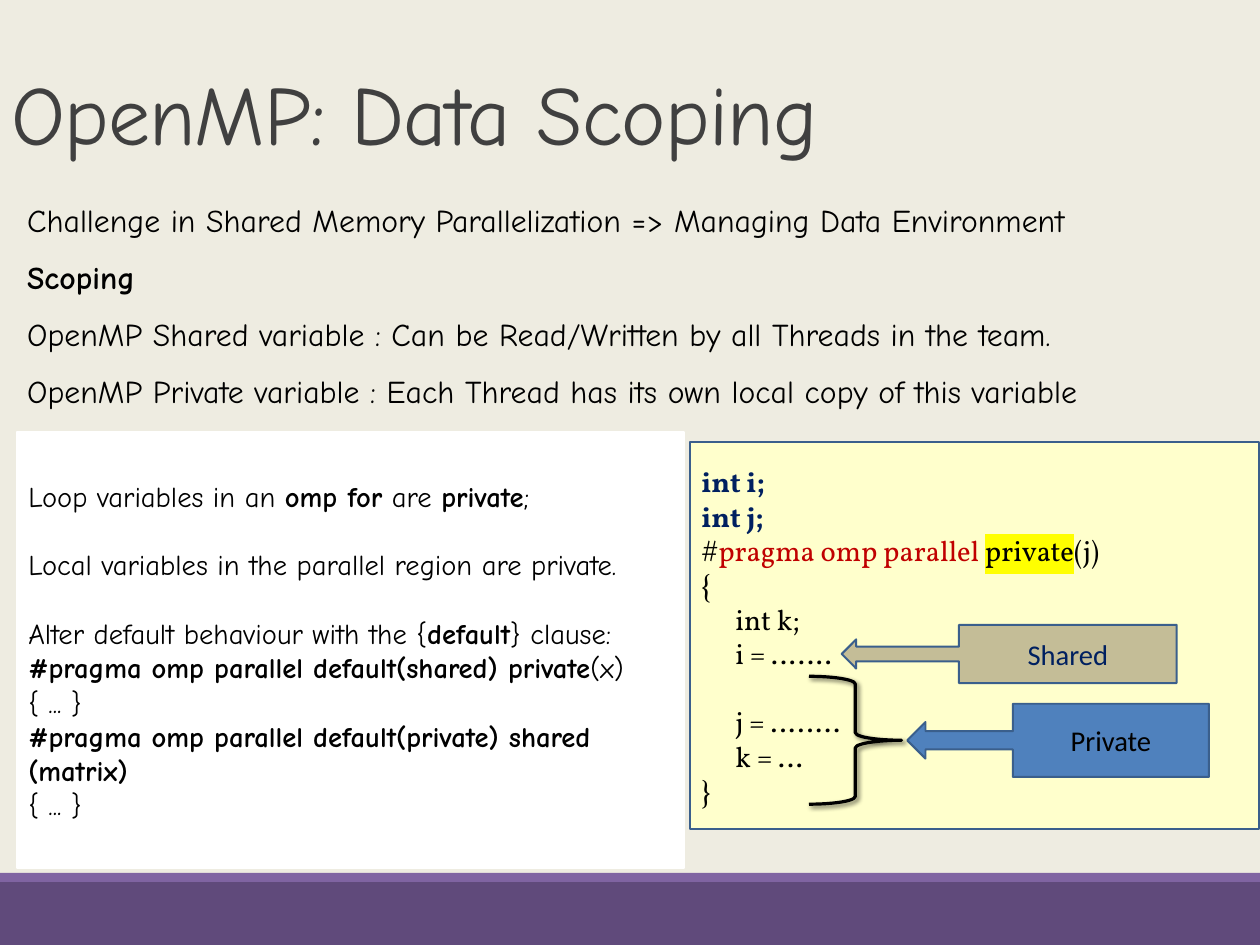
from lxml.etree import SubElement
from pptx import Presentation
from pptx.dml.color import RGBColor
from pptx.enum.shapes import MSO_SHAPE
from pptx.enum.text import MSO_ANCHOR, PP_ALIGN
from pptx.oxml.ns import qn
from pptx.util import Pt

WIDTH, HEIGHT = 793.75, 595.25
HAND, SERIF, SANS = "Comic Neue", "Vollkorn", "Calibri"
BLACK, NAVY, RED, OUTLINE = "000000", "002060", "C00000", "3A5F8C"
BLANK_LINE = 21.6


def rgb(value):
    """Turn a hex string into a colour."""
    return RGBColor.from_string(value)


def add_box(slide, box, fill=None, line=None, preset=MSO_SHAPE.RECTANGLE, weight=1.25):
    """Add a preset shape without shadow."""
    sp = slide.shapes.add_shape(preset, *map(Pt, box))
    sp.shadow.inherit = False
    if fill:
        sp.fill.solid()
        sp.fill.fore_color.rgb = rgb(fill)
    else:
        sp.fill.background()
    if line:
        sp.line.color.rgb = rgb(line)
        sp.line.width = Pt(weight)
    else:
        sp.line.fill.background()
    return sp


def add_run(p, text, bold=False, color=None, highlight=None):
    """Append a run with its own emphasis."""
    r = p.add_run()
    r.text = text
    if bold:
        r.font.bold = True
    if color:
        r.font.color.rgb = rgb(color)
    if highlight:
        mark = SubElement(r.font._element, qn("a:highlight"))
        SubElement(mark, qn("a:srgbClr"), val=highlight)


def write(sp, paragraphs, font, size, color=BLACK, align=PP_ALIGN.LEFT,
          anchor=MSO_ANCHOR.MIDDLE, spacing=None):
    """Fill a shape with paragraphs, each a list of run arguments."""
    tf = sp.text_frame
    tf.word_wrap = True
    tf.vertical_anchor = anchor
    for i, runs in enumerate(paragraphs):
        p = tf.paragraphs[0] if i == 0 else tf.add_paragraph()
        p.alignment = align
        p.line_spacing = spacing
        p.font.name = font
        p.font.size = Pt(size)
        p.font.color.rgb = rgb(color)
        for run in runs:
            add_run(p, *run)
    return tf.paragraphs


def add_footer(slide, box):
    """Draw the two purple bars."""
    x, y, w, h = box
    strip = 5.76
    add_box(slide, (x, y + strip, w, h - strip), "604A7B")
    add_box(slide, (x, y, w, strip), "8064A2")


def add_title(slide, box):
    """Write the slide title."""
    sp = slide.shapes.add_textbox(*map(Pt, box))
    p, = write(sp, [[("OpenMP: Data Scoping",)]], HAND, 52.9, "404040",
               anchor=MSO_ANCHOR.BOTTOM, spacing=0.85)
    p.runs[0].font._element.set("spc", "-55")


def add_overview(slide, box):
    """Write the opening statements."""
    sp = slide.shapes.add_textbox(*map(Pt, box))
    write(sp, [
        [("Challenge in Shared Memory Parallelization => Managing Data Environment",)],
        [("Scoping", True)],
        [("OpenMP Shared variable : Can be Read/Written by all Threads in the team.",)],
        [("OpenMP Private variable : Each Thread has its own local copy of this variable",)],
    ], HAND, 20, anchor=MSO_ANCHOR.TOP, spacing=1.5)


def add_callout(slide, box, label, fill, color):
    """Draw a labelled box with an arrow to the left."""
    sp = add_box(slide, box, fill, OUTLINE, MSO_SHAPE.LEFT_ARROW_CALLOUT)
    write(sp, [[(label,)]], SANS, 18, color, PP_ALIGN.CENTER)


def add_brace(slide, box):
    """Draw the brace around the private variables."""
    sp = add_box(slide, box, None, BLACK, MSO_SHAPE.RIGHT_BRACE, 2)
    effects = sp._element.spPr.find(qn("a:effectLst"))
    shadow = SubElement(effects, qn("a:outerShdw"), blurRad=str(Pt(3)),
                        dist=str(Pt(2)), dir="2700000", rotWithShape="0")
    tint = SubElement(shadow, qn("a:srgbClr"), val=BLACK)
    SubElement(tint, qn("a:alpha"), val="60000")


def add_code(slide, box):
    """Draw the code panel with its scope callouts."""
    x, y = box[:2]
    sp = add_box(slide, box, "FFFFCC", OUTLINE)
    lines = write(sp, [
        [("int i;", True, NAVY)],
        [("int j;", True, NAVY)],
        [("#",), ("pragma omp parallel ", False, RED),
         ("private", False, BLACK, "FFFF00"), ("(j)",)],
        [("{",)],
        [("int k;",)],
        [("i = …….",)],
        [("j = ……..",)],
        [("k = …",)],
        [("}",)],
    ], SERIF, 18)
    for p in lines[4:8]:
        p._p.get_or_add_pPr().set("marL", str(Pt(21.5)))
    lines[6].space_before = Pt(BLANK_LINE)
    add_callout(slide, (x + 136.8, y + 164.9, 190.1, 46.1), "Private", "4F81BD", BLACK)
    add_brace(slide, (x + 74.9, y + 147.6, 58.3, 80.6))
    add_callout(slide, (x + 95.5, y + 115.2, 211, 36.7), "Shared", "C4BD97", NAVY)


def add_rules(slide, box):
    """Draw the panel of default scoping rules."""
    sp = add_box(slide, box, "FFFFFF", "FFFFFF")
    lines = write(sp, [
        [("Loop variables in an ",), ("omp for", True), (" are ",),
         ("private", True), (";",)],
        [("Local variables in the parallel region are private.",)],
        [("Alter default behaviour with the {",), ("default", True), ("} clause:",)],
        [("#pragma omp parallel default(shared) private", True), ("(x)",)],
        [("{ ... }",)],
        [("#pragma omp parallel default(private) shared (matrix)", True)],
        [("{ ... }",)],
    ], HAND, 18)
    for p in lines[1:3]:
        p.space_before = Pt(BLANK_LINE)


def main():
    """Build and save the slide."""
    prs = Presentation()
    prs.slide_width, prs.slide_height = Pt(WIDTH), Pt(HEIGHT)
    slide = prs.slides.add_slide(prs.slide_layouts[6])
    slide.background.fill.solid()
    slide.background.fill.fore_color.rgb = rgb("EEECE1")
    add_footer(slide, (0, 549.8, WIDTH, HEIGHT - 549.8))
    add_title(slide, (0, 17.75, 714.24, 88.56))
    add_overview(slide, (10, 110.75, 758.16, 152.64))
    add_code(slide, (434.75, 278.4, 358.56, 244.08))
    add_rules(slide, (10.75, 272, 420.25, 275))
    prs.save("out.pptx")


if __name__ == "__main__":
    main()
